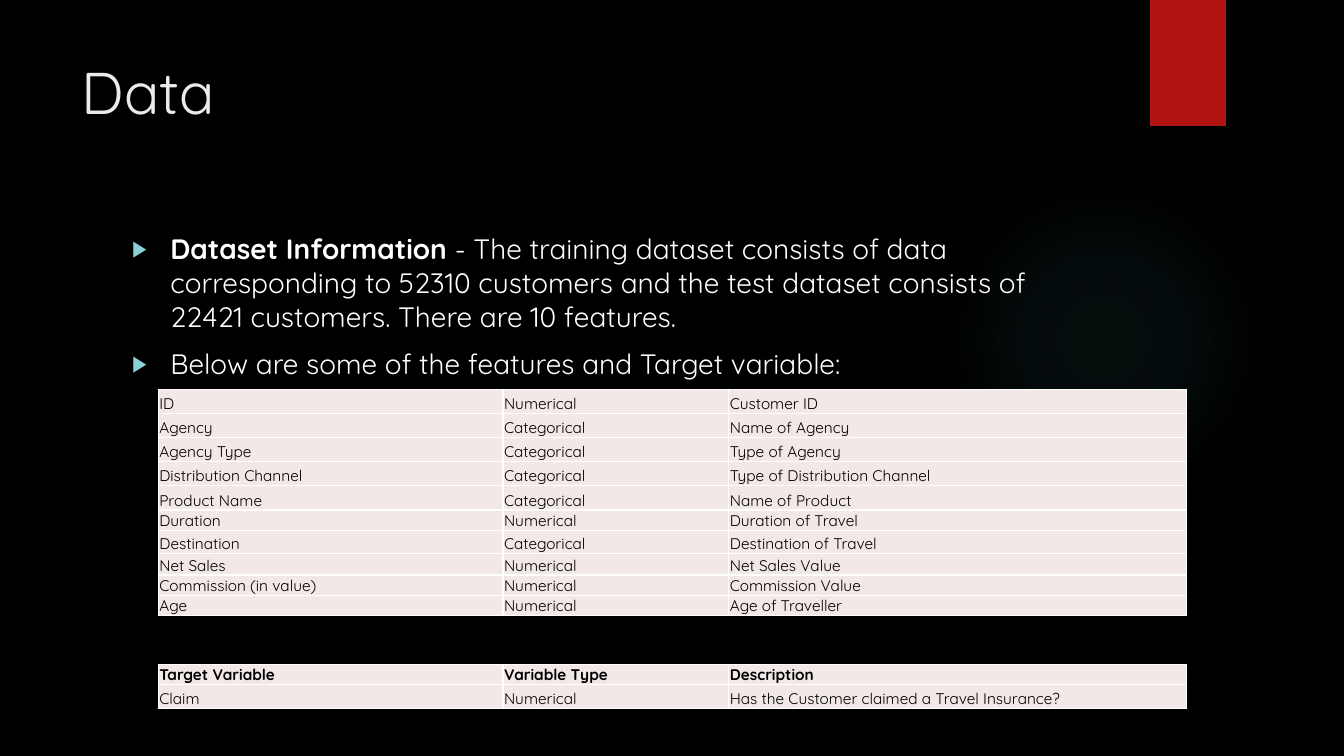
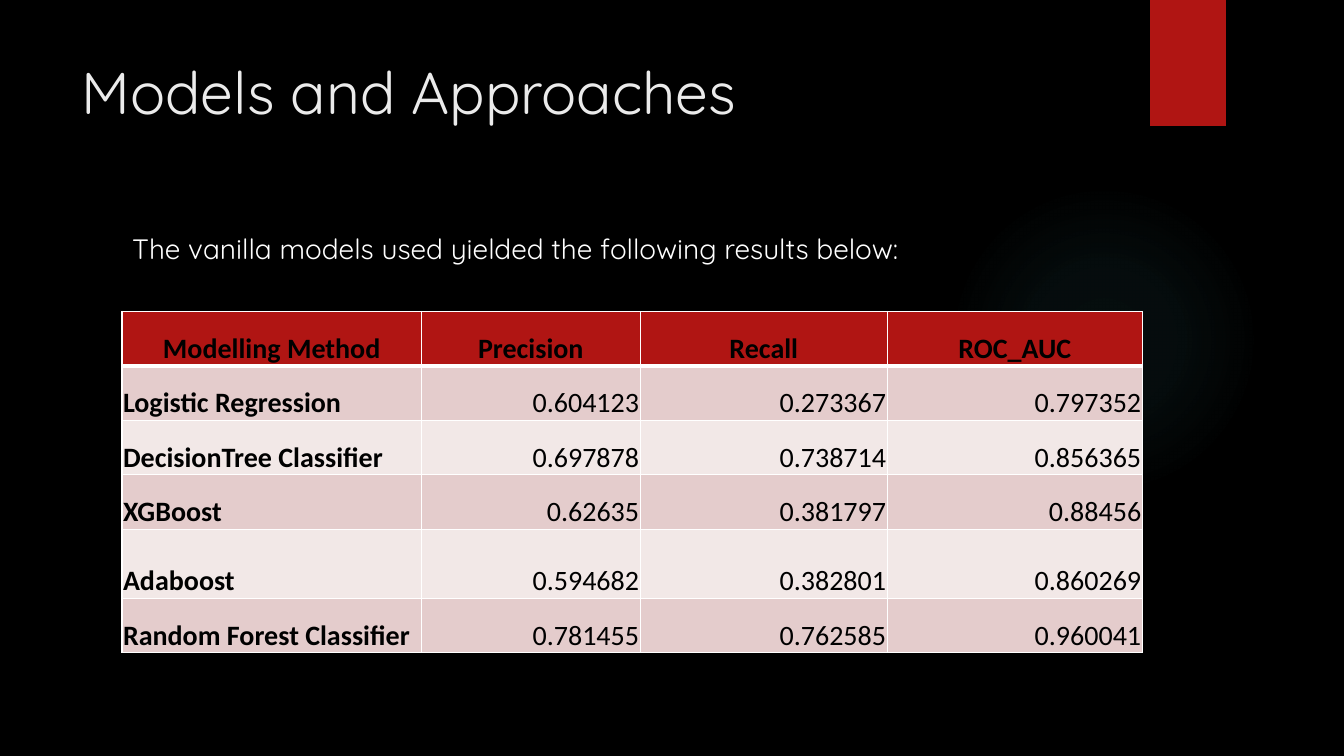
from dataclasses import dataclass
from typing import Optional

from lxml import etree
from pptx import Presentation
from pptx import util as u
from pptx.dml.color import RGBColor
from pptx.enum import shapes, text
from pptx.oxml import ns, parse_xml

WIDTH, HEIGHT = u.Inches(13.33), u.Inches(7.5)
BLACK, WHITE, RED = "000000", "FFFFFF", "B01513"
TITLE_GREY, TEAL, GLOW_TEAL = "EBEBEB", "8AD0D6", "50B9C1"
PALE, ROSE = "F2E8E7", "E4CCCC"
DISPLAY_FONT, TABLE_FONT = "Quicksand", "Calibri"
LEFT, CENTER, RIGHT = text.PP_ALIGN.LEFT, text.PP_ALIGN.CENTER, text.PP_ALIGN.RIGHT


@dataclass(frozen=True)
class Area:
    """Left, top, width and height as percentages of the slide's size."""

    left: float
    top: float
    width: float
    height: float

    def lengths(self) -> tuple:
        return across(self.left), down(self.top), across(self.width), down(self.height)


@dataclass(frozen=True)
class Grid:
    left: float
    top: float
    columns: tuple
    heights: tuple
    rows: tuple
    font: str = DISPLAY_FONT
    size: float = 11
    header_fill: Optional[str] = None
    bands: tuple = (PALE,)
    bold_header: bool = False
    bold_labels: bool = False
    value_align: text.PP_ALIGN = LEFT


GLOW = Area(70.58, 24.4, 23.1, 41.07)
TAB = Area(85.58, 0, 5.63, 16.67)
TITLE = Area(5.33, 6.67, 77.18, 20.4)
BODY = Area(9.08, 30, 73.35, 61.2)
GLOW_STOPS = ((0, 7), (36, 6), (69, 0))
FEATURE_COLUMNS = (25.65, 16.8, 34.05)

FEATURES = Grid(
    11.78, 51.47, FEATURE_COLUMNS, (3.2,) * 5 + (2.7, 3.05, 2.85, 2.7, 2.7),
    (
        ("ID", "Numerical", "Customer ID"),
        ("Agency", "Categorical", "Name of Agency"),
        ("Agency Type", "Categorical", "Type of Agency"),
        ("Distribution Channel", "Categorical", "Type of Distribution Channel"),
        ("Product Name", "Categorical", "Name of Product"),
        ("Duration", "Numerical", "Duration of Travel"),
        ("Destination", "Categorical", "Destination of Travel"),
        ("Net Sales", "Numerical", "Net Sales Value"),
        ("Commission (in value)", "Numerical", "Commission Value"),
        ("Age", "Numerical", "Age of Traveller"),
    ),
)
TARGET = Grid(
    11.78, 87.87, FEATURE_COLUMNS, (2.7, 3.2),
    (
        ("Target Variable", "Variable Type", "Description"),
        ("Claim", "Numerical", "Has the Customer claimed a Travel Insurance?"),
    ),
    bold_header=True,
)
SCORES = Grid(
    9.08, 41.2, (22.28, 16.28, 18.38, 18.98), (7.2,) * 4 + (9.15, 7.2),
    (
        ("Modelling Method", "Precision", "Recall", "ROC_AUC"),
        ("Logistic Regression", "0.604123", "0.273367", "0.797352"),
        ("DecisionTree Classifier", "0.697878", "0.738714", "0.856365"),
        ("XGBoost", "0.62635", "0.381797", "0.88456"),
        ("Adaboost", "0.594682", "0.382801", "0.860269"),
        ("Random Forest Classifier", "0.781455", "0.762585", "0.960041"),
    ),
    font=TABLE_FONT, size=20, header_fill=RED, bands=(PALE, ROSE),
    bold_header=True, bold_labels=True, value_align=RIGHT,
)


def across(share: float) -> int:
    return int(WIDTH * share / 100)


def down(share: float) -> int:
    return int(HEIGHT * share / 100)


def paint(target, color: str) -> None:
    target.solid()
    target.fore_color.rgb = RGBColor.from_string(color)


def write(paragraph, words: str, *, size: float = 20, font: str = DISPLAY_FONT,
          color: str = WHITE, bold: bool = False, align=LEFT) -> None:
    run = paragraph.add_run()
    run.text = words
    run.font.size, run.font.name, run.font.bold = u.Pt(size), font, bold
    paint(run.font.fill, color)
    paragraph.alignment = align


def place(holder, area: Area) -> None:
    holder.left, holder.top, holder.width, holder.height = area.lengths()


def add_plain(slide, kind, area: Area, color: str):
    figure = slide.shapes.add_shape(kind, *area.lengths())
    figure.shadow.inherit = False
    figure.line.fill.background()
    paint(figure.fill, color)
    return figure


def make_radial(figure, color: str, stops: tuple) -> None:
    marks = "".join(
        f'<a:gs pos="{pos * 1000}"><a:srgbClr val="{color}">'
        f'<a:alpha val="{alpha * 1000}"/></a:srgbClr></a:gs>'
        for pos, alpha in stops
    )
    gradient = parse_xml(
        f'<a:gradFill {ns.nsdecls("a")} rotWithShape="1"><a:gsLst>{marks}</a:gsLst>'
        '<a:path path="circle"><a:fillToRect l="50000" t="50000" r="50000" b="50000"/>'
        "</a:path></a:gradFill>"
    )
    solid = figure.element.spPr.find(ns.qn("a:solidFill"))
    solid.getparent().replace(solid, gradient)


def decorate(layout, slide) -> None:
    paint(layout.background.fill, BLACK)
    glow = add_plain(slide, shapes.MSO_SHAPE.OVAL, GLOW, GLOW_TEAL)
    make_radial(glow, GLOW_TEAL, GLOW_STOPS)
    tab = add_plain(slide, shapes.MSO_SHAPE.RECTANGLE, TAB, RED)
    for position, figure in enumerate((glow, tab), start=2):
        layout.shapes.element.insert(position, figure.element)
    for holder, area in zip(layout.placeholders, (TITLE, BODY)):
        place(holder, area)


def set_bullet(paragraph, bulleted: bool) -> None:
    paragraph.space_before = u.Pt(10)
    props = paragraph._p.get_or_add_pPr()
    indent = u.Inches(0.38) if bulleted else 0
    props.set("marL", str(indent))
    props.set("indent", str(-indent))
    if not bulleted:
        etree.SubElement(props, ns.qn("a:buNone"))
        return
    tint = etree.SubElement(props, ns.qn("a:buClr"))
    etree.SubElement(tint, ns.qn("a:srgbClr"), val=TEAL)
    etree.SubElement(props, ns.qn("a:buSzPct"), val="80000")
    etree.SubElement(props, ns.qn("a:buChar"), char="▶")


def fill_placeholders(slide, heading: str, points: tuple, bulleted: bool) -> None:
    title, body = slide.shapes.title, slide.placeholders[1]
    for holder, area in ((title, TITLE), (body, BODY)):
        place(holder, area)
        holder.text_frame.word_wrap = True
        holder.text_frame.auto_size = text.MSO_AUTO_SIZE.NONE
        holder.text_frame.vertical_anchor = text.MSO_ANCHOR.TOP
    write(title.text_frame.paragraphs[0], heading, size=42, color=TITLE_GREY)
    frame = body.text_frame
    for index, (lead, rest) in enumerate(points):
        paragraph = frame.add_paragraph() if index else frame.paragraphs[0]
        set_bullet(paragraph, bulleted)
        if lead:
            write(paragraph, lead, bold=True)
        write(paragraph, rest)


def set_borders(cell, top: float, bottom: float) -> None:
    props = cell._tc.get_or_add_tcPr()
    for side, points in (("L", 1), ("R", 1), ("T", top), ("B", bottom)):
        edge = etree.SubElement(props, ns.qn(f"a:ln{side}"), w=str(u.Pt(points)))
        tint = etree.SubElement(edge, ns.qn("a:solidFill"))
        etree.SubElement(tint, ns.qn("a:srgbClr"), val=WHITE)


def add_grid(slide, grid: Grid) -> None:
    area = Area(grid.left, grid.top, sum(grid.columns), sum(grid.heights))
    table = slide.shapes.add_table(
        len(grid.rows), len(grid.columns), *area.lengths()).table
    table.first_row = table.horz_banding = False
    for column, share in zip(table.columns, grid.columns):
        column.width = across(share)
    for row, share in zip(table.rows, grid.heights):
        row.height = down(share)
    for r, values in enumerate(grid.rows):
        header = r == 0 and grid.header_fill is not None
        for c, words in enumerate(values):
            cell = table.cell(r, c)
            cell.vertical_anchor = text.MSO_ANCHOR.BOTTOM
            cell.margin_left = cell.margin_top = cell.margin_right = u.Inches(0.01)
            cell.margin_bottom = 0
            set_borders(cell, 3 if grid.header_fill and r == 1 else 1, 3 if header else 1)
            paint(cell.fill, grid.header_fill if header else grid.bands[r % len(grid.bands)])
            align = CENTER if header else grid.value_align if c else LEFT
            bold = (r == 0 and grid.bold_header) or (c == 0 and grid.bold_labels)
            write(cell.text_frame.paragraphs[0], words, size=grid.size,
                  font=grid.font, color=BLACK, bold=bold, align=align)


def main() -> None:
    deck = Presentation()
    deck.slide_width, deck.slide_height = WIDTH, HEIGHT
    layout = deck.slide_layouts[1]

    data = deck.slides.add_slide(layout)
    decorate(layout, data)
    fill_placeholders(data, "Data", (
        ("Dataset Information ",
         "- The training dataset consists of data corresponding to 52310 customers "
         "and the test dataset consists of 22421 customers. There are 10 features."),
        ("", "Below are some of the features and Target variable:"),
    ), bulleted=True)
    add_grid(data, FEATURES)
    add_grid(data, TARGET)

    models = deck.slides.add_slide(layout)
    fill_placeholders(models, "Models and Approaches", (
        ("", "The vanilla models used yielded the following results below:"),
    ), bulleted=False)
    add_grid(models, SCORES)

    deck.save("out.pptx")


if __name__ == "__main__":
    main()
